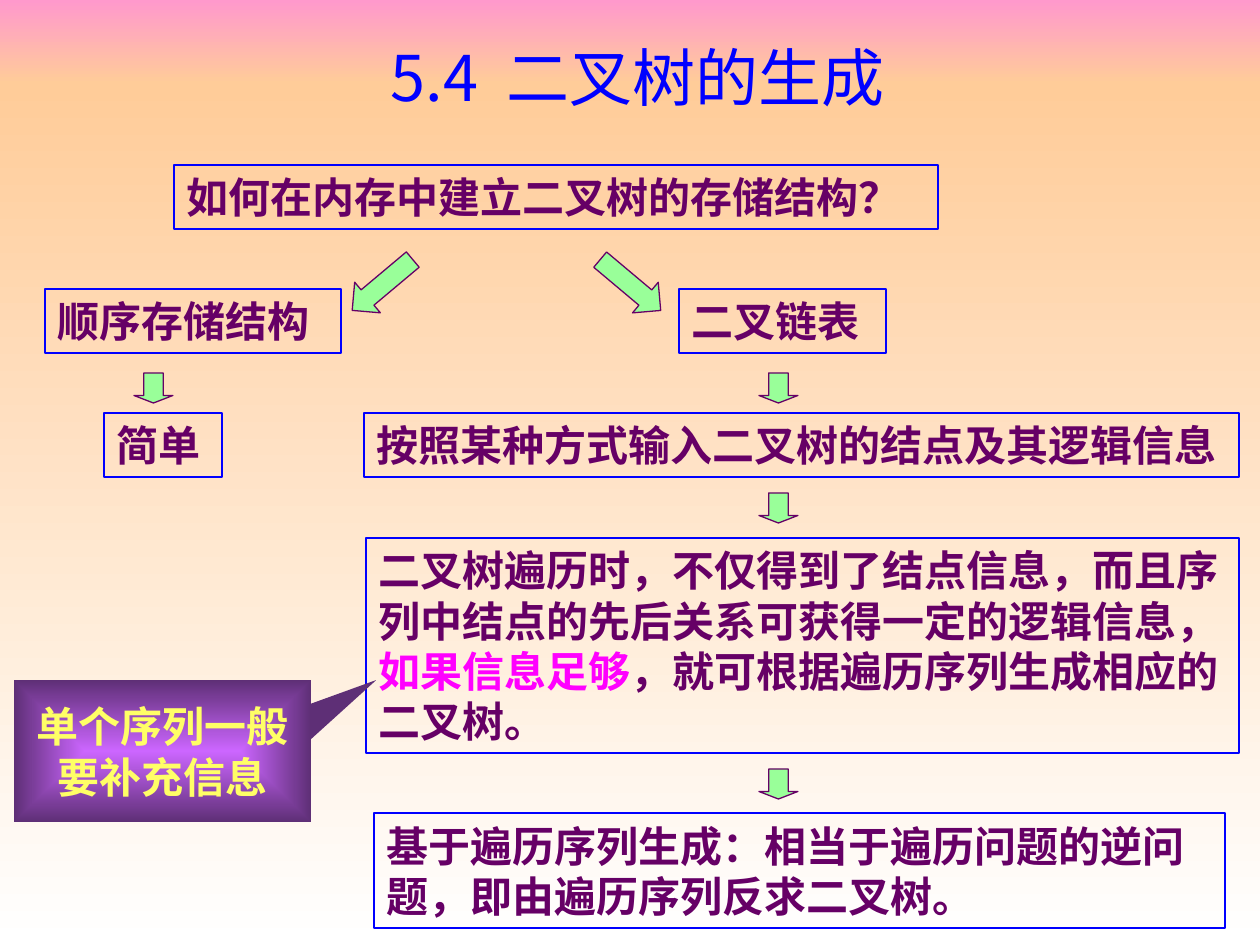
from lxml import etree
from pptx import Presentation
from pptx.dml.color import RGBColor
from pptx.enum.lang import MSO_LANGUAGE_ID
from pptx.enum.shapes import MSO_SHAPE
from pptx.enum.text import MSO_ANCHOR, PP_ALIGN
from pptx.oxml import parse_xml
from pptx.oxml.ns import nsdecls, qn
from pptx.util import Pt

PX = 914400 / 126  # EMU per px
PURPLE, BLUE, GREEN = "660066", "0000FF", "99FF99"


def rgb(color):
    return RGBColor.from_string(color)


def write(sp, *parts, size=24, font="Arial", color=PURPLE, bold=True,
          align=PP_ALIGN.LEFT, anchor=MSO_ANCHOR.MIDDLE):
    """Fill a shape with one paragraph; a part is text or (text, color)."""
    tf = sp.text_frame
    tf.word_wrap = True
    tf.vertical_anchor = anchor
    p = tf.paragraphs[0]
    p.alignment = align
    for part in parts:
        text, tint = (part, color) if isinstance(part, str) else part
        r = p.add_run()
        r.text = text
        r.font.size, r.font.name, r.font.bold = Pt(size), font, bold
        r.font.color.rgb = rgb(tint)
        r.font.language_id = MSO_LANGUAGE_ID.SIMPLIFIED_CHINESE


prs = Presentation()
prs.slide_width, prs.slide_height = round(1260 * PX), round(945 * PX)
s = prs.slides.add_slide(prs.slide_layouts[5])


def shape(kind, box, fill=None, line=None, width=1):
    """Add a preset shape; fill is a color, a pair for a gradient, or None."""
    sp = s.shapes.add_shape(kind, *(round(v * PX) for v in box))
    sp.shadow.inherit = False
    if fill is None:
        sp.fill.background()
    elif isinstance(fill, str):
        sp.fill.solid()
        sp.fill.fore_color.rgb = rgb(fill)
    else:
        sp.fill.gradient()
        sp.fill.gradient_angle = 270
        for stop, color in zip(sp.fill.gradient_stops, fill):
            stop.color.rgb = rgb(color)
    if line:
        sp.line.color.rgb = rgb(line)
        sp.line.width = Pt(width)
    else:
        sp.line.fill.background()
    return sp


# Background bands
shape(MSO_SHAPE.RECTANGLE, (0, 0, 1260, 84), ("FF99CC", "FFCC99"))
shape(MSO_SHAPE.RECTANGLE, (0, 84, 1260, 861), ("FFCC99", "FFFFFF"))

# Title, brought in front of the background
title = s.shapes.title
s.shapes._spTree.append(title._element)
title.left, title.top, title.width, title.height = (
    round(v * PX) for v in (102, 32, 1071, 88))
write(title, "5.4  二叉树的生成", size=36, font="Noto Sans CJK SC", color=BLUE,
      bold=False, align=PP_ALIGN.CENTER)
for r in title.text_frame.paragraphs[0].runs:
    ea = etree.SubElement(r.font._element, qn("a:ea"))
    ea.set("typeface", "Noto Sans CJK SC")

# Outlined text boxes
boxes = [
    ((174, 165, 764, 64), ["如何在内存中建立二叉树的存储结构？"]),
    ((45, 289, 296, 64), ["顺序存储结构"]),
    ((679, 289, 207, 64), ["二叉链表"]),
    ((104, 413, 118, 64), ["简单"]),
    ((364, 413, 875, 64), ["按照某种方式输入二叉树的结点及其逻辑信息"]),
    ((366, 538, 873, 215),
     ["二叉树遍历时，不仅得到了结点信息，而且序列中结点的先后关系可获得一定的逻辑信息，",
      ("如果信息足够", "FF00FF"), "，就可根据遍历序列生成相应的二叉树。"]),
    ((374, 813, 851, 115),
     ["基于遍历序列生成：相当于遍历问题的逆问题，即由遍历序列反求二叉树。"]),
]
for box, parts in boxes:
    write(shape(MSO_SHAPE.RECTANGLE, box, line=BLUE), *parts)

# Branching arrows
for x, angle in ((343, 320), (591, 220)):
    sp = shape(MSO_SHAPE.LEFT_ARROW, (x, 265, 79, 40), GREEN, PURPLE, 0.75)
    sp.rotation = angle

# Down arrows
for x, y in ((134, 373), (759, 373), (759, 493), (759, 769)):
    sp = shape(MSO_SHAPE.DOWN_ARROW, (x, y, 39, 30), GREEN, PURPLE, 0.75)
    sp.adjustments[1] = 0.25

# Callout with a gradient from its centre
sp = shape(MSO_SHAPE.RECTANGULAR_CALLOUT, (14, 680, 297, 142),
           ("CC66FF", "5E2F76"))
sp.adjustments[0], sp.adjustments[1] = 0.72, -0.5
lin = sp._element.spPr.find(".//" + qn("a:lin"))
lin.getparent().replace(lin, parse_xml(
    f'<a:path {nsdecls("a")} path="rect"><a:fillToRect l="50000" t="50000" '
    'r="50000" b="50000"/></a:path>'))
write(sp, "单个序列一般要补充信息", font="Times New Roman", color="FFFF66",
      align=PP_ALIGN.CENTER)

prs.save("out.pptx")
